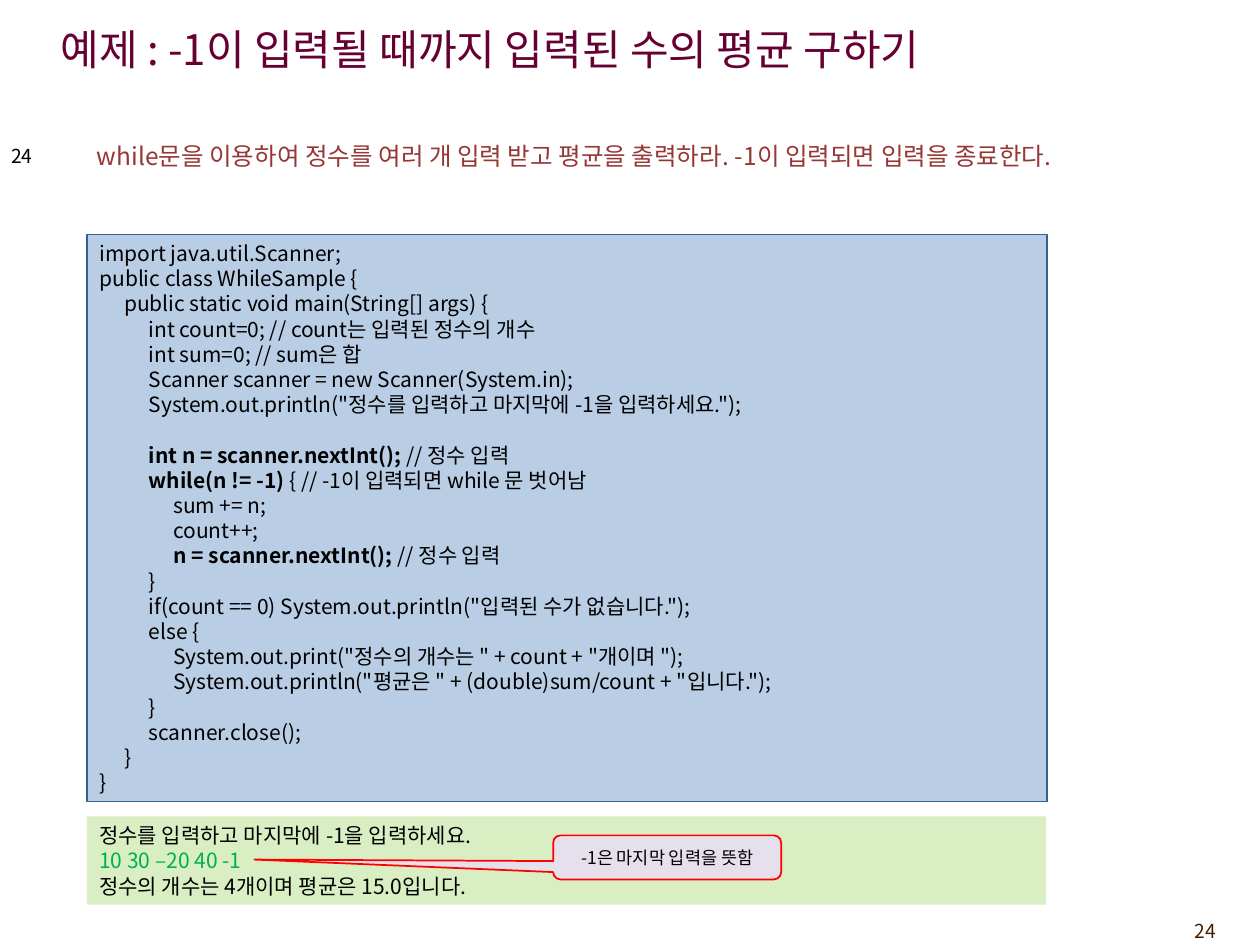
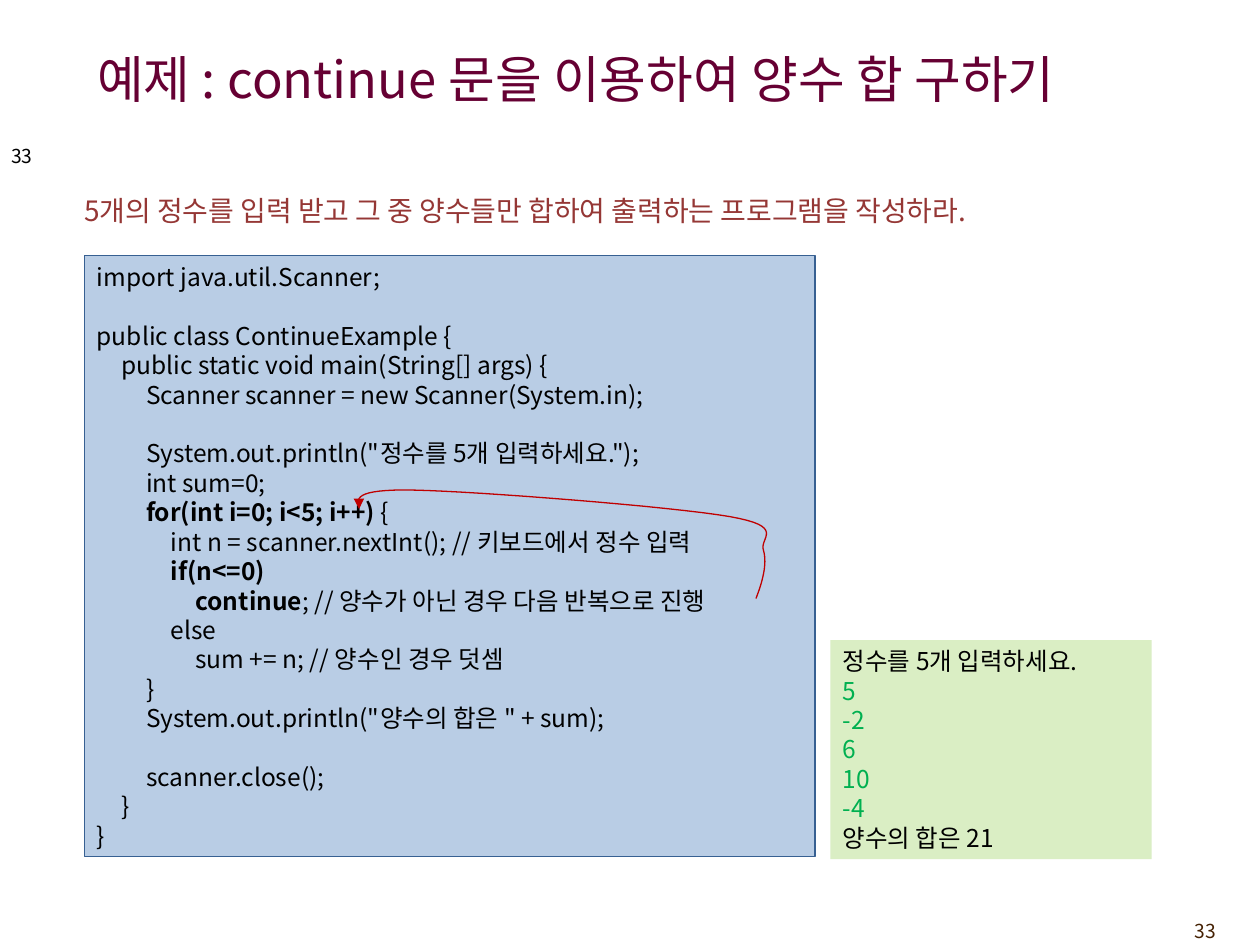
from dataclasses import dataclass

from lxml import etree
from pptx import Presentation
from pptx import util as u
from pptx.dml.color import RGBColor
from pptx.enum import shapes, text
from pptx.oxml import ns

TAB_STOPS = 7
TAB_REACH = 1.37
LINE_HEIGHT = 1.2
CURVE_STEPS = 16


@dataclass(frozen=True)
class Theme:
    font: str = "Noto Sans CJK KR"
    title: str = "660033"
    task: str = "953735"
    ink: str = "000000"
    typed: str = "00B050"
    footer: str = "452103"
    code_fill: str = "B9CDE5"
    code_line: str = "376092"
    output_fill: str = "DAEEC4"
    note_fill: str = "E6E0EC"
    note_line: str = "FF0000"
    arrow: str = "C00000"
    number_size: int = 11
    note_size: int = 10


AVERAGE_CODE = """
import java.util.Scanner;
public class WhileSample {
    public static void main(String[] args) {
        int count=0; // count는 입력된 정수의 개수
        int sum=0; // sum은 합
        Scanner scanner = new Scanner(System.in);
        System.out.println("정수를 입력하고 마지막에 -1을 입력하세요.");

        **int n = scanner.nextInt(); **// 정수 입력
        **while(n != -1) **{ // -1이 입력되면 while 문 벗어남
            sum += n;
            count++;
            **n = scanner.nextInt(); **// 정수 입력
        }
        if(count == 0) System.out.println("입력된 수가 없습니다.");
        else {
            System.out.print("정수의 개수는 " + count + "개이며 ");
            System.out.println("평균은 " + (double)sum/count + "입니다.");
        }
        scanner.close();
    }
}
"""

AVERAGE_OUTPUT = """
정수를 입력하고 마지막에 -1을 입력하세요.
10 30 –20 40 -1
정수의 개수는 4개이며 평균은 15.0입니다.
"""

CONTINUE_CODE = """
import java.util.Scanner;

public class ContinueExample {
    public static void main(String[] args) {
        Scanner scanner = new Scanner(System.in);

        System.out.println("정수를 5개 입력하세요.");
        int sum=0;
        **for(int i=0; i<5; i++) **{
            int n = scanner.nextInt(); // 키보드에서 정수 입력
            **if(n<=0)**
                **continue**; // 양수가 아닌 경우 다음 반복으로 진행
            else
                sum += n; // 양수인 경우 덧셈
        }
        System.out.println("양수의 합은 " + sum);

        scanner.close();
    }
}
"""

CONTINUE_OUTPUT = """
정수를 5개 입력하세요.
5
-2
6
10
-4
양수의 합은 21
"""


def rgb(value):
    return RGBColor.from_string(value)


def add_tab_stops(para):
    tabs = etree.SubElement(para._p.get_or_add_pPr(), ns.qn("a:tabLst"))
    for stop in range(1, TAB_STOPS + 1):
        position = u.Inches(TAB_REACH * stop / TAB_STOPS)
        etree.SubElement(tabs, ns.qn("a:tab"), pos=str(position), algn="l")


def write(frame, content, *, font, size, color, typed_color=None, typed_rows=(),
          align=text.PP_ALIGN.LEFT, anchor=text.MSO_ANCHOR.TOP,
          spacing=None, code=False, grow=False):
    """Fill a frame line by line; ** toggles bold, four spaces make a tab in code."""
    frame.word_wrap = True
    frame.vertical_anchor = anchor
    frame.auto_size = (text.MSO_AUTO_SIZE.SHAPE_TO_FIT_TEXT if grow
                       else text.MSO_AUTO_SIZE.NONE)
    for row, line in enumerate(content.strip("\n").split("\n")):
        para = frame.add_paragraph() if row else frame.paragraphs[0]
        para.alignment = align
        if spacing:
            para.line_spacing = spacing
        if code:
            add_tab_stops(para)
            line = line.replace("    ", "\t")
        for part, words in enumerate(line.split("**")):
            if not words:
                continue
            span = para.add_run()
            span.text = words
            span.font.name = font
            span.font.size = u.Pt(size)
            span.font.bold = part % 2 == 1
            span.font.color.rgb = rgb(typed_color if row in typed_rows else color)
            etree.SubElement(span._r.get_or_add_rPr(), ns.qn("a:ea"), typeface=font)


def bezier(start, first, second, end):
    """Points along a cubic curve, without its start."""
    for step in range(1, CURVE_STEPS + 1):
        t = step / CURVE_STEPS
        weights = ((1 - t) ** 3, 3 * t * (1 - t) ** 2, 3 * t * t * (1 - t), t ** 3)
        yield tuple(sum(w * p[axis] for w, p in zip(weights, (start, first, second, end)))
                    for axis in (0, 1))


class Lesson:
    """Places styled elements on a grid of 100 columns by 75 rows."""

    def __init__(self, deck, theme):
        self.deck = deck
        self.theme = theme
        self.page = None
        self.column = deck.slide_width / 100
        self.row = deck.slide_height / 75

    def place(self, left, top, width, height):
        return [round(n * unit) for n, unit in
                zip((left, top, width, height), (self.column, self.row) * 2)]

    def start(self, title, area, size, number):
        self.page = self.deck.slides.add_slide(self.deck.slide_layouts[5])
        box = self.page.shapes.title
        box.left, box.top, box.width, box.height = self.place(*area)
        write(box.text_frame, title, font=self.theme.font, size=size,
              color=self.theme.title, anchor=text.MSO_ANCHOR.MIDDLE)
        self.label(number, (89.2, 72.5, 8.3, 2.9), self.theme.number_size,
                   self.theme.footer, align=text.PP_ALIGN.RIGHT)
        self.label(number, (-0.1, 11.3, 5.8, 2.7), self.theme.number_size,
                   self.theme.ink, spacing=0.8)

    def label(self, content, area, size, color, **style):
        box = self.page.shapes.add_textbox(*self.place(*area))
        write(box.text_frame, content, font=self.theme.font, size=size, color=color, **style)

    def task(self, content, area, size):
        self.label(content, area, size, self.theme.task, grow=True)

    def panel(self, kind, area, fill, line=None, weight=0.75):
        box = self.page.shapes.add_shape(kind, *self.place(*area))
        box.shadow.inherit = False
        box.fill.solid()
        box.fill.fore_color.rgb = rgb(fill)
        if line:
            box.line.color.rgb = rgb(line)
            box.line.width = u.Pt(weight)
        else:
            box.line.fill.background()
        return box

    def code(self, content, area, size):
        box = self.panel(shapes.MSO_SHAPE.RECTANGLE, area,
                         self.theme.code_fill, self.theme.code_line)
        write(box.text_frame, content, font=self.theme.font, size=size, color=self.theme.ink,
              spacing=u.Pt(size * LINE_HEIGHT), code=True, grow=True)

    def output(self, content, area, size, typed_rows):
        box = self.panel(shapes.MSO_SHAPE.RECTANGLE, area, self.theme.output_fill)
        write(box.text_frame, content, font=self.theme.font, size=size, color=self.theme.ink,
              typed_color=self.theme.typed, typed_rows=typed_rows,
              spacing=u.Pt(size * LINE_HEIGHT), grow=True)

    def callout(self, content, area, pointer):
        box = self.panel(shapes.MSO_SHAPE.ROUNDED_RECTANGULAR_CALLOUT, area,
                         self.theme.note_fill, self.theme.note_line, 1)
        box.adjustments[0], box.adjustments[1] = pointer
        write(box.text_frame, content, font=self.theme.font, size=self.theme.note_size,
              color=self.theme.ink, align=text.PP_ALIGN.CENTER,
              anchor=text.MSO_ANCHOR.MIDDLE)

    def curved_arrow(self, start, curves):
        points = [start]
        for curve in curves:
            points.extend(bezier(points[-1], *curve))
        points = [(x * self.column, y * self.row) for x, y in points]
        builder = self.page.shapes.build_freeform(*points[0])
        builder.add_line_segments(points[1:], close=False)
        arrow = builder.convert_to_shape()
        arrow.shadow.inherit = False
        arrow.fill.background()
        arrow.line.color.rgb = rgb(self.theme.arrow)
        arrow.line.width = u.Pt(0.75)
        etree.SubElement(arrow.line._get_or_add_ln(), ns.qn("a:tailEnd"), type="triangle")


def average_page(lesson):
    lesson.start("예제 : -1이 입력될 때까지 입력된 수의 평균 구하기",
                 (3.8, 0.2, 91.3, 7.4), 24, "24")
    lesson.task("while문을 이용하여 정수를 여러 개 입력 받고 평균을 출력하라. "
                "-1이 입력되면 입력을 종료한다.", (6.7, 10.7, 85.5, 3.4), 14)
    lesson.code(AVERAGE_CODE, (6.9, 18.6, 76.2, 45), 12)
    lesson.output(AVERAGE_OUTPUT, (6.9, 64.8, 76.1, 7), 12, typed_rows=[1])
    lesson.callout("-1은 마지막 입력을 뜻함", (43.9, 66.3, 18.1, 3.5), (-1.81, 0.05))


def continue_page(lesson):
    lesson.start("예제 : continue 문을 이용하여 양수 합 구하기",
                 (6.7, 2.5, 92.9, 7.4), 29, "33")
    lesson.task("5개의 정수를 입력 받고 그 중 양수들만 합하여 출력하는 프로그램을 작성하라.",
                (5.7, 14.9, 85.5, 3.7), 16)
    lesson.code(CONTINUE_CODE, (6.7, 20.3, 58, 47.7), 14)
    lesson.output(CONTINUE_OUTPUT, (65.9, 50.8, 25.5, 17.4), 14, typed_rows=range(1, 6))
    lesson.curved_arrow((60, 47.5), [
        ((60.5, 46.2), (60.9, 44.8), (60.6, 43.7)),
        ((60.2, 42.7), (62.5, 41.8), (57.9, 41)),
        ((53.3, 40.2), (37.8, 39), (32.9, 38.9)),
        ((28, 38.8), (28.3, 39.6), (28.5, 40.4)),
    ])


def main():
    deck = Presentation()
    deck.slide_width, deck.slide_height = u.Inches(10), u.Inches(7.5)
    lesson = Lesson(deck, Theme())
    average_page(lesson)
    continue_page(lesson)
    deck.save("out.pptx")


if __name__ == "__main__":
    main()
